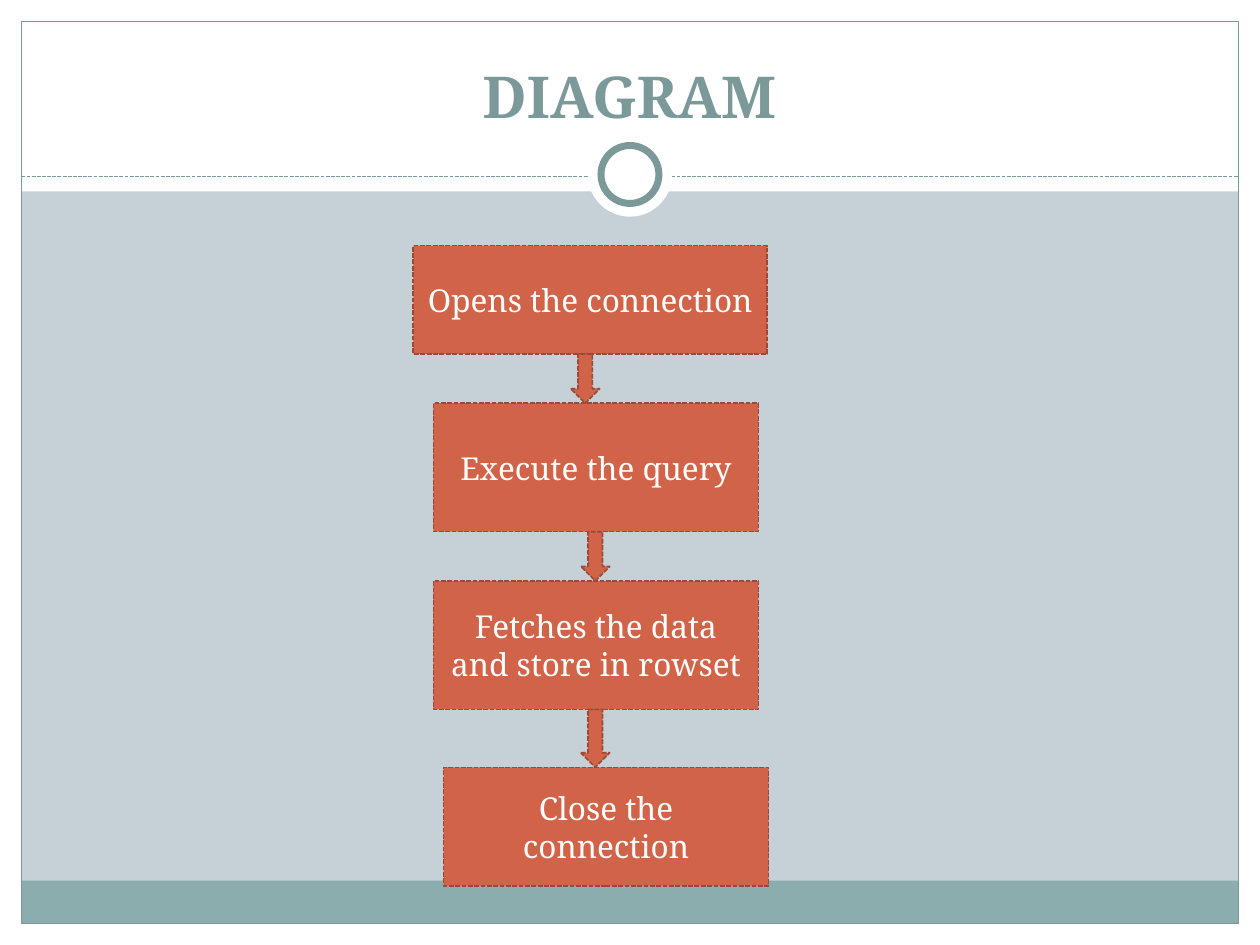
from dataclasses import dataclass

from pptx import Presentation
from pptx.dml.color import RGBColor
from pptx.enum.dml import MSO_LINE_DASH_STYLE as Dash
from pptx.enum.shapes import MSO_CONNECTOR as Connector, MSO_SHAPE as Shape
from pptx.enum.text import MSO_ANCHOR as Anchor, PP_ALIGN as Align
from pptx.oxml.ns import qn
from pptx.util import Inches, Pt

COLUMNS, ROWS = 100, 75
WIDTH, HEIGHT = Inches(10), Inches(7.5)


@dataclass(frozen=True)
class Theme:
    """Colours, type sizes and line widths of the slide."""
    font: str = "Noto Serif"
    background: str = "C5D1D7"
    paper: str = "FFFFFF"
    footer: str = "8CADAE"
    accent: str = "7C999A"
    step: str = "D16349"
    step_edge: str = "9B4936"
    title_size: float = 33
    step_size: float = 18
    rule: float = 0.75
    ring: float = 4
    edge: float = 0.9


@dataclass(frozen=True)
class Box:
    """A rectangle in grid columns and rows."""
    left: float
    top: float
    width: float
    height: float

    def inner(self, left, top, width, height):
        """Return a box placed relative to this one."""
        return Box(self.left + left, self.top + top, width, height)

    def lengths(self):
        """Return left, top, width and height as slide lengths."""
        column, row = WIDTH / COLUMNS, HEIGHT / ROWS
        return (round(self.left * column), round(self.top * row),
                round(self.width * column), round(self.height * row))


THEME = Theme()
STEPS = (
    ("Opens the connection", Box(0, 0, 28.1, 8.6)),
    ("Execute the query", Box(1.6, 12.5, 25.8, 10.2)),
    ("Fetches the data and store in rowset", Box(1.6, 26.6, 25.8, 10.2)),
    ("Close the connection", Box(2.4, 41.4, 25.8, 9.4)),
)
ARROW_LEFTS = (12.5, 13.3, 13.3)
ARROW_WIDTH = 2.3


def apply_format(target, values):
    """Set each named attribute of the target."""
    for name, value in values.items():
        setattr(target, name, value)


def format_line(line, color, width, dash=None):
    """Colour a line and set its width and dash."""
    line.color.rgb = RGBColor.from_string(color)
    apply_format(line, {"width": Pt(width), "dash_style": dash})


def add_shape(slide, kind, box, fill=None, line=None):
    """Add a flat shape with an optional fill and line."""
    shape = slide.shapes.add_shape(kind, *box.lengths())
    shape.shadow.inherit = False
    if fill:
        shape.fill.solid()
        shape.fill.fore_color.rgb = RGBColor.from_string(fill)
    else:
        shape.fill.background()
    if line:
        format_line(shape.line, *line)
    else:
        shape.line.fill.background()
    return shape


def write_text(shape, text, anchor, color, size, bold=False):
    """Write one centred paragraph in a shape."""
    frame = shape.text_frame
    apply_format(frame, {"text": text, "word_wrap": True,
                         "vertical_anchor": anchor})
    paragraph = frame.paragraphs[0]
    paragraph.alignment = Align.CENTER
    font = paragraph.runs[0].font
    apply_format(font, {"name": THEME.font, "size": Pt(size), "bold": bold})
    font.color.rgb = RGBColor.from_string(color)


def build_frame(slide, box, margin=1.7):
    """Draw the white margins, the footer band and the outline."""
    inner_width = box.width - 2 * margin
    inner_height = box.height - 2 * margin
    bottom, right = box.height - margin, box.width - margin
    for band in ((0, bottom, box.width, margin), (0, 0, box.width, 15.2),
                 (0, 0, margin, box.height), (right, 0, margin, box.height)):
        add_shape(slide, Shape.RECTANGLE, box.inner(*band), THEME.paper)
    add_shape(slide, Shape.RECTANGLE,
              box.inner(margin, bottom - 3.4, inner_width, 3.4), THEME.footer)
    add_shape(slide, Shape.RECTANGLE,
              box.inner(margin, margin, inner_width, inner_height),
              line=(THEME.accent, THEME.rule))


def build_divider(slide, box):
    """Draw the dashed rule with the ring at its centre."""
    left, top, width, _ = box.inner(0, 3.5, box.width, 0).lengths()
    rule = slide.shapes.add_connector(Connector.STRAIGHT, left, top,
                                      left + width, top)
    format_line(rule.line, THEME.accent, THEME.rule, Dash.SQUARE_DOT)
    properties = rule.element.spPr
    properties.append(properties.makeelement(qn("a:effectLst"), {}))
    for size, line in ((6.7, None), (4.6, (THEME.accent, THEME.ring))):
        circle = box.inner((box.width - size) / 2, (box.height - size) / 2,
                           size, size)
        add_shape(slide, Shape.OVAL, circle, THEME.paper, line)


def build_title(slide, box):
    """Place and format the title above the frame."""
    title = slide.shapes.title
    names = ("left", "top", "width", "height")
    apply_format(title, dict(zip(names, box.lengths())))
    write_text(title, "DIAGRAM", Anchor.BOTTOM, THEME.accent,
               THEME.title_size, bold=True)
    slide.shapes.element.append(title.element)


def build_flow(slide, box):
    """Draw the steps and the arrows that join them."""
    style = THEME.step, (THEME.step_edge, THEME.edge, Dash.SQUARE_DOT)
    places = [box.inner(place.left, place.top, place.width, place.height)
              for _, place in STEPS]
    for (text, _), place in zip(STEPS, places):
        step = add_shape(slide, Shape.RECTANGLE, place, *style)
        write_text(step, text, Anchor.MIDDLE, THEME.paper, THEME.step_size)
    for left, above, below in zip(ARROW_LEFTS, places, places[1:]):
        start = above.top + above.height
        arrow = Box(box.left + left, start, ARROW_WIDTH, below.top - start)
        add_shape(slide, Shape.DOWN_ARROW, arrow, *style)


def main():
    """Build and save the slide."""
    presentation = Presentation()
    apply_format(presentation, {"slide_width": WIDTH, "slide_height": HEIGHT})
    slide = presentation.slides.add_slide(presentation.slide_layouts[5])
    fill = slide.background.fill
    fill.solid()
    fill.fore_color.rgb = RGBColor.from_string(THEME.background)
    build_frame(slide, Box(0, 0, COLUMNS, ROWS))
    build_divider(slide, Box(1.7, 10.5, 96.6, 6.7))
    build_title(slide, Box(3.3, 2.5, 93.3, 8.3))
    build_flow(slide, Box(32.8, 19.5, 28.2, 50.8))
    presentation.save("out.pptx")


if __name__ == "__main__":
    main()
